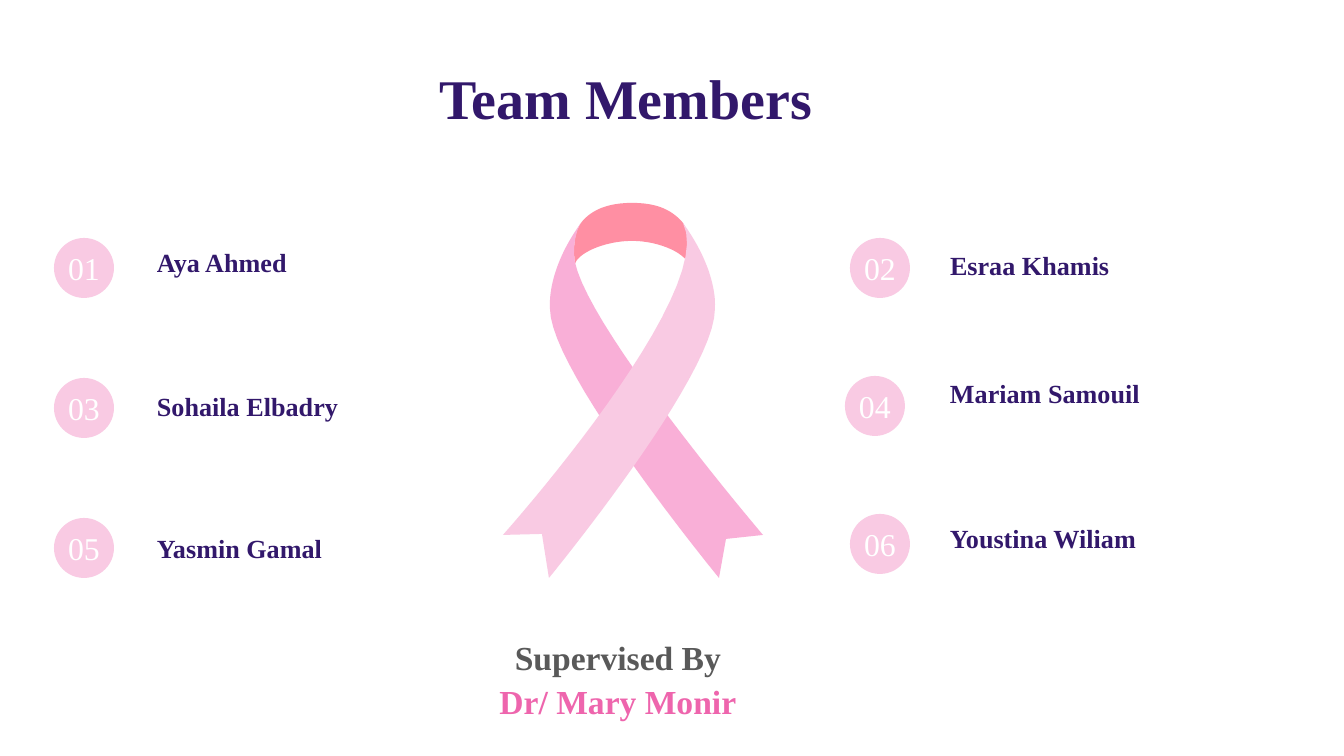
from pptx import Presentation
from pptx.dml.color import RGBColor
from pptx.enum.shapes import MSO_SHAPE
from pptx.enum.text import MSO_ANCHOR, PP_ALIGN
from pptx.util import Emu, Pt

OVAL = MSO_SHAPE.OVAL
TOP, MIDDLE = MSO_ANCHOR.TOP, MSO_ANCHOR.MIDDLE
LEFT, CENTER = PP_ALIGN.LEFT, PP_ALIGN.CENTER

EMU_PER_PX = 914400 / 134.4
SLIDE_SIZE = (1344, 756)
FONT = "Times New Roman"
COLORS = {
    "purple": "32186B",
    "white": "FFFFFF",
    "gray": "595959",
    "rose": "EE65AD",
    "coral": "FF8FA3",
    "pink": "F9AFD7",
    "pale": "F9CAE3",
}

TITLE = "Team Members "
TITLE_BOX = (7, 35, 1252, 124)
SUPERVISION = [("Supervised By", "gray"), ("Dr/ Mary Monir", "rose")]
SUPERVISION_BOX = (265, 626, 672, 101)
SUPERVISION_INDENT = 34

BADGE_SIZE = 60
NAME_HEIGHT = 46
MEMBERS = [
    {"name": "Aya Ahmed", "badge": (54, 238), "text": (144, 239), "width": 258},
    {"name": "Esraa Khamis", "badge": (850, 238), "text": (937, 242), "width": 226},
    {"name": "Sohaila Elbadry", "badge": (54, 378), "text": (144, 383), "width": 243},
    {"name": "Mariam Samouil", "badge": (845, 376), "text": (937, 370), "width": 276},
    {"name": "Yasmin Gamal", "badge": (54, 518), "text": (144, 525), "width": 290},
    {"name": "Youstina Wiliam", "badge": (850, 514), "text": (937, 515), "width": 247},
]

RIBBON = [
    ("coral", (632, 203), [
        [(608, 203), (591, 210), (581, 223)],
        [(574, 233), (573, 249), (575, 264)],
        [(578, 253), (605, 241), (632, 241)],
        [(659, 241), (685, 253), (689, 265)],
        [(691, 253), (690, 234), (683, 223)],
        [(672, 210), (657, 203), (632, 203)],
    ]),
    ("pink", (581, 223), [
        [(547, 270), (550, 305), (550, 306)],
        [(550, 309)],
        [(550, 372), (719, 578), (719, 578)],
        [(726, 539)],
        [(763, 535)],
        [(763, 535), (574, 313), (574, 254)],
        [(574, 242), (576, 231), (581, 223)],
    ]),
    ("pale", (683, 223), [
        [(719, 293), (503, 535), (503, 535)],
        [(542, 534)],
        [(549, 578)],
        [(549, 578), (715, 376), (715, 309)],
        [(715, 306)],
        [(715, 306), (718, 271), (683, 223)],
    ]),
]
CURVE_STEPS = 24


def px(value):
    return Emu(round(value * EMU_PER_PX))


def color(name):
    return RGBColor.from_string(COLORS[name])


def paint(shape, fill):
    shape.shadow.inherit = False
    shape.fill.solid()
    shape.fill.fore_color.rgb = color(fill)
    shape.line.fill.background()


def write(shape, lines, size, bold=True, align=LEFT, anchor=TOP, margins=(13, 7), spacing=None, indent=0):
    frame = shape.text_frame
    side, edge = (px(margin) for margin in margins)
    frame_format = {
        "word_wrap": True, "vertical_anchor": anchor,
        "margin_left": side, "margin_right": side,
        "margin_top": edge, "margin_bottom": edge,
    }
    for attribute, value in frame_format.items():
        setattr(frame, attribute, value)
    for index, (text, text_color) in enumerate(lines):
        paragraph = frame.paragraphs[0] if index == 0 else frame.add_paragraph()
        paragraph.alignment = align
        paragraph.line_spacing = spacing
        if indent:
            paragraph._p.get_or_add_pPr().set("marL", str(px(indent)))
        run = paragraph.add_run()
        run.text = text
        for attribute, value in {"name": FONT, "size": Pt(size), "bold": bold}.items():
            setattr(run.font, attribute, value)
        run.font.color.rgb = color(text_color)


def add_text(slide, box, lines, size, **text_format):
    shape = slide.shapes.add_textbox(*map(px, box))
    write(shape, lines, size, **text_format)


def add_badge(slide, position, number):
    shape = slide.shapes.add_shape(OVAL, *map(px, (*position, BADGE_SIZE, BADGE_SIZE)))
    paint(shape, "pale")
    write(shape, [(f"{number:02d}", "white")], 17, bold=False, align=CENTER, anchor=MIDDLE, margins=(0, 13))


def curve_points(start, first, second, end):
    for step in range(1, CURVE_STEPS + 1):
        t = step / CURVE_STEPS
        weights = ((1 - t) ** 3, 3 * t * (1 - t) ** 2, 3 * t * t * (1 - t), t ** 3)
        yield tuple(
            sum(weight * value for weight, value in zip(weights, values))
            for values in zip(start, first, second, end)
        )


def add_band(slide, fill, start, segments):
    points = [start]
    for segment in segments:
        points.extend(curve_points(points[-1], *segment) if len(segment) == 3 else segment)
    corners = [(px(x), px(y)) for x, y in points]
    builder = slide.shapes.build_freeform(*corners[0])
    builder.add_line_segments(corners[1:], close=True)
    paint(builder.convert_to_shape(), fill)


def main():
    presentation = Presentation()
    presentation.slide_width, presentation.slide_height = map(px, SLIDE_SIZE)
    slide = presentation.slides.add_slide(presentation.slide_layouts[6])
    add_text(slide, TITLE_BOX, [(TITLE, "purple")], 30, align=CENTER, anchor=MIDDLE, margins=(13, 13))
    for number, member in enumerate(MEMBERS, 1):
        add_badge(slide, member["badge"], number)
        box = (*member["text"], member["width"], NAME_HEIGHT)
        add_text(slide, box, [(member["name"], "purple")], 14)
    for band in RIBBON:
        add_band(slide, *band)
    add_text(slide, SUPERVISION_BOX, SUPERVISION, 18, align=CENTER, spacing=1.1, indent=SUPERVISION_INDENT)
    presentation.save("out.pptx")


if __name__ == "__main__":
    main()
